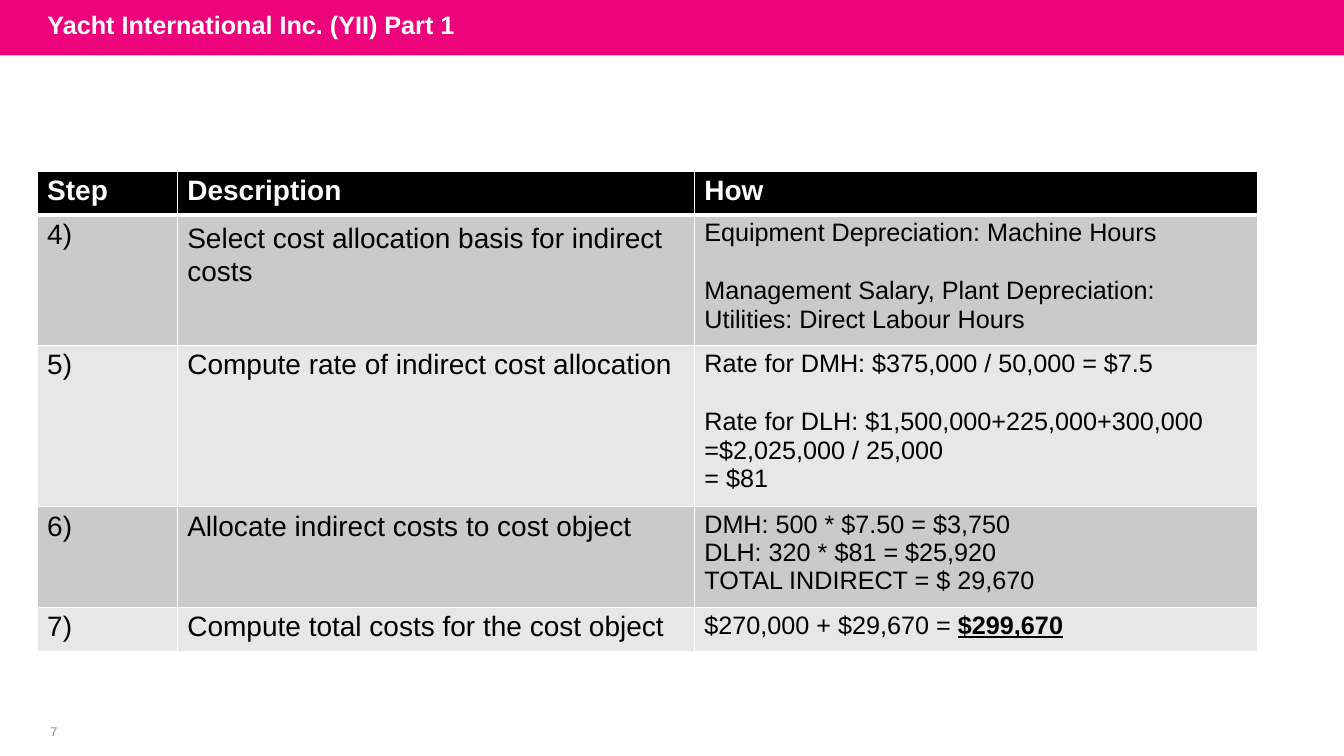
from dataclasses import dataclass

from lxml import etree
from pptx import Presentation
from pptx import util as u
from pptx.dml.color import RGBColor
from pptx.enum import shapes, text
from pptx.oxml import ns

COLORS = {
    "band": "ED037C",
    "white": "FFFFFF",
    "black": "000000",
    "dark_row": "CACACA",
    "light_row": "E7E7E7",
    "page_number": "8C8C8C",
}
FONT = "Arial"
COLUMN_WIDTHS = (3.53, 13.03, 14.2)
HEADINGS = ("Step", "Description", "How")
HEADER_HEIGHT = 1.09
LINE_GAP = 21.6


@dataclass(frozen=True)
class Line:
    words: str
    gap: float = 0
    result: str = ""


@dataclass(frozen=True)
class Step:
    number: str
    description: str
    how: tuple[Line, ...]
    height: float
    pitch: float | None = None


STEPS = (
    Step(
        "4)",
        "Select cost allocation basis for indirect costs",
        (
            Line("Equipment Depreciation: Machine Hours", 3),
            Line("Management Salary, Plant Depreciation:", LINE_GAP),
            Line("Utilities: Direct Labour Hours"),
        ),
        3.3,
        23.9,
    ),
    Step(
        "5)",
        "Compute rate of indirect cost allocation",
        (
            Line("Rate for DMH: $375,000 / 50,000 = $7.5", 3),
            Line("Rate for DLH: $1,500,000+225,000+300,000", LINE_GAP),
            Line("=$2,025,000 / 25,000"),
            Line("= $81"),
        ),
        4.06,
    ),
    Step(
        "6)",
        "Allocate indirect costs to cost object",
        (
            Line("DMH: 500 * $7.50 = $3,750", 3),
            Line("DLH: 320 * $81 = $25,920"),
            Line("TOTAL INDIRECT = $ 29,670"),
        ),
        2.54,
    ),
    Step(
        "7)",
        "Compute total costs for the cost object",
        (Line("$270,000 + $29,670 = ", 3, "$299,670"),),
        1.11,
    ),
)


def add_span(para, words: str, size: float, color: str, bold: bool = False, underline: bool = False) -> None:
    span = para.add_run()
    span.text = words
    span.font.name = FONT
    span.font.size = u.Pt(size)
    span.font.bold = bold
    span.font.underline = underline
    span.font.color.rgb = RGBColor.from_string(COLORS[color])


def set_border(cell, side: str, width: float) -> None:
    properties = cell._tc.get_or_add_tcPr()
    border = etree.SubElement(properties, ns.qn(f"a:ln{side}"), w=str(u.Pt(width)))
    fill = etree.SubElement(border, ns.qn("a:solidFill"))
    etree.SubElement(fill, ns.qn("a:srgbClr"), val=COLORS["white"])


def fill_cell(
    cell,
    lines: tuple[Line, ...],
    size: float,
    color: str,
    fill: str,
    bold: bool = False,
    pitch: float | None = None,
    top_border: float = 1,
    bottom_border: float = 1,
) -> None:
    cell.margin_left = u.Cm(0.25)
    cell.margin_right = cell.margin_bottom = 0
    cell.margin_top = u.Cm(0.15 if pitch else 0.1)
    for side, width in (("L", 1), ("R", 1), ("T", top_border), ("B", bottom_border)):
        set_border(cell, side, width)
    cell.fill.solid()
    cell.fill.fore_color.rgb = RGBColor.from_string(COLORS[fill])
    for index, line in enumerate(lines):
        para = cell.text_frame.add_paragraph() if index else cell.text_frame.paragraphs[0]
        para.space_before = u.Pt(line.gap)
        if pitch:
            para.line_spacing = u.Pt(pitch)
        add_span(para, line.words, size, color, bold)
        if line.result:
            add_span(para, line.result, size, color, True, True)


def add_heading(page) -> None:
    title = page.shapes.title
    band = page.shapes.add_shape(shapes.MSO_SHAPE.RECTANGLE, 0, 0, u.Cm(33.87), u.Cm(1.4))
    band.shadow.inherit = False
    band.fill.solid()
    band.fill.fore_color.rgb = RGBColor.from_string(COLORS["band"])
    band.line.fill.background()
    title.element.addprevious(band.element)

    title.left, title.top = u.Cm(0.94), u.Cm(-0.08)
    title.width, title.height = u.Cm(26.67), u.Cm(1.4)
    title.text_frame.vertical_anchor = text.MSO_ANCHOR.MIDDLE
    para = title.text_frame.paragraphs[0]
    para.alignment = text.PP_ALIGN.LEFT
    add_span(para, "Yacht International Inc. (YII) Part 1", 18, "white", True)


def add_steps(page) -> None:
    heights = (HEADER_HEIGHT, *(step.height for step in STEPS))
    frame = page.shapes.add_table(
        len(heights), len(HEADINGS), u.Cm(0.94), u.Cm(4.32), u.Cm(sum(COLUMN_WIDTHS)), u.Cm(sum(heights))
    )
    table = frame.table
    for column, width in zip(table.columns, COLUMN_WIDTHS):
        column.width = u.Cm(width)
    for row, height in zip(table.rows, heights):
        row.height = u.Cm(height)
    for column, heading in enumerate(HEADINGS):
        fill_cell(table.cell(0, column), (Line(heading, 3),), 20, "white", "black", True, bottom_border=3)
    for row, step in enumerate(STEPS, 1):
        fill = "dark_row" if row % 2 else "light_row"
        top = 3 if row == 1 else 1
        number, description, how = (table.cell(row, column) for column in range(3))
        fill_cell(number, (Line(step.number, 3),), 20, "black", fill, top_border=top)
        fill_cell(
            description, (Line(step.description, 3),), 20, "black", fill, pitch=step.pitch, top_border=top
        )
        fill_cell(how, step.how, 18, "black", fill, top_border=top)


def add_page_number(page) -> None:
    box = page.shapes.add_textbox(u.Cm(0.7), u.Cm(18.14), u.Cm(1.32), u.Cm(0.61))
    frame = box.text_frame
    frame.word_wrap = True
    frame.margin_left = frame.margin_right = frame.margin_top = frame.margin_bottom = 0
    frame.vertical_anchor = text.MSO_ANCHOR.MIDDLE
    para = frame.paragraphs[0]
    para.alignment = text.PP_ALIGN.CENTER
    add_span(para, "7", 9, "page_number")


def main() -> None:
    deck = Presentation()
    deck.slide_width, deck.slide_height = u.Cm(33.87), u.Cm(19.05)
    page = deck.slides.add_slide(deck.slide_layouts.get_by_name("Title Only"))
    add_heading(page)
    add_steps(page)
    add_page_number(page)
    deck.save("out.pptx")


if __name__ == "__main__":
    main()
